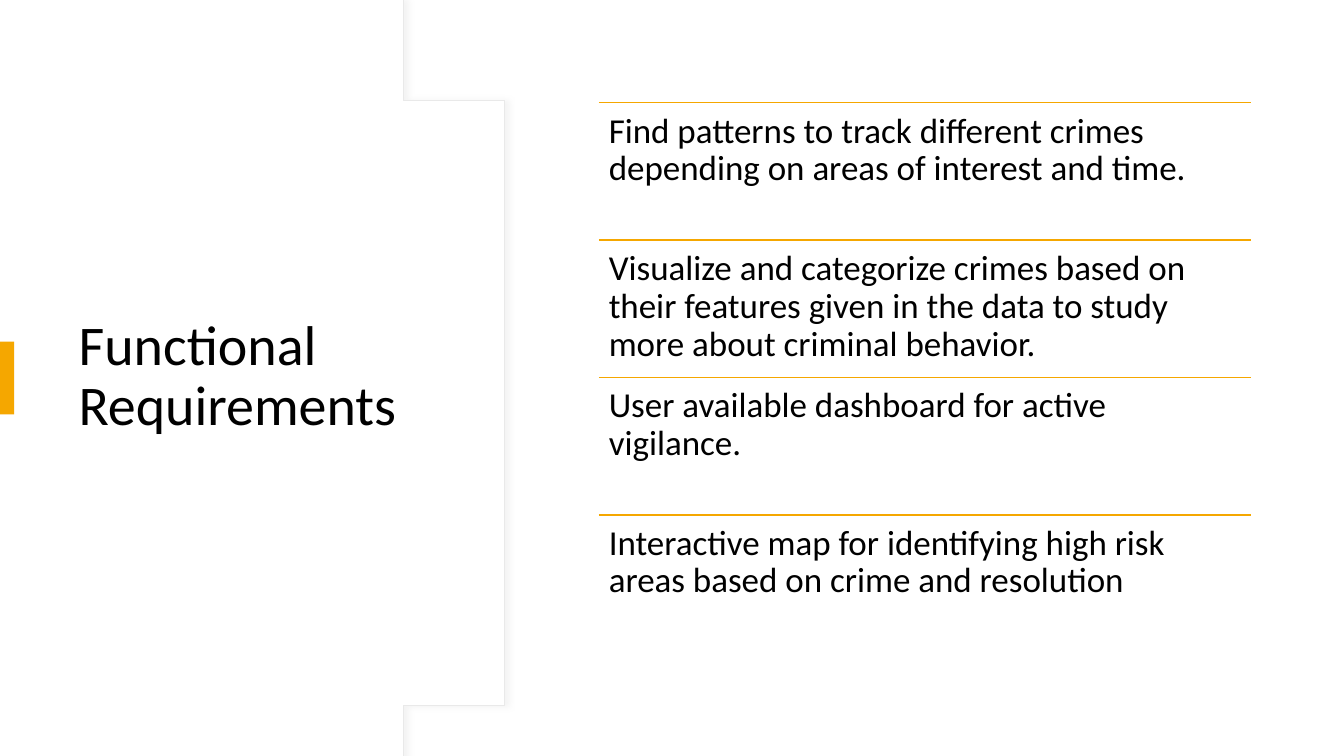
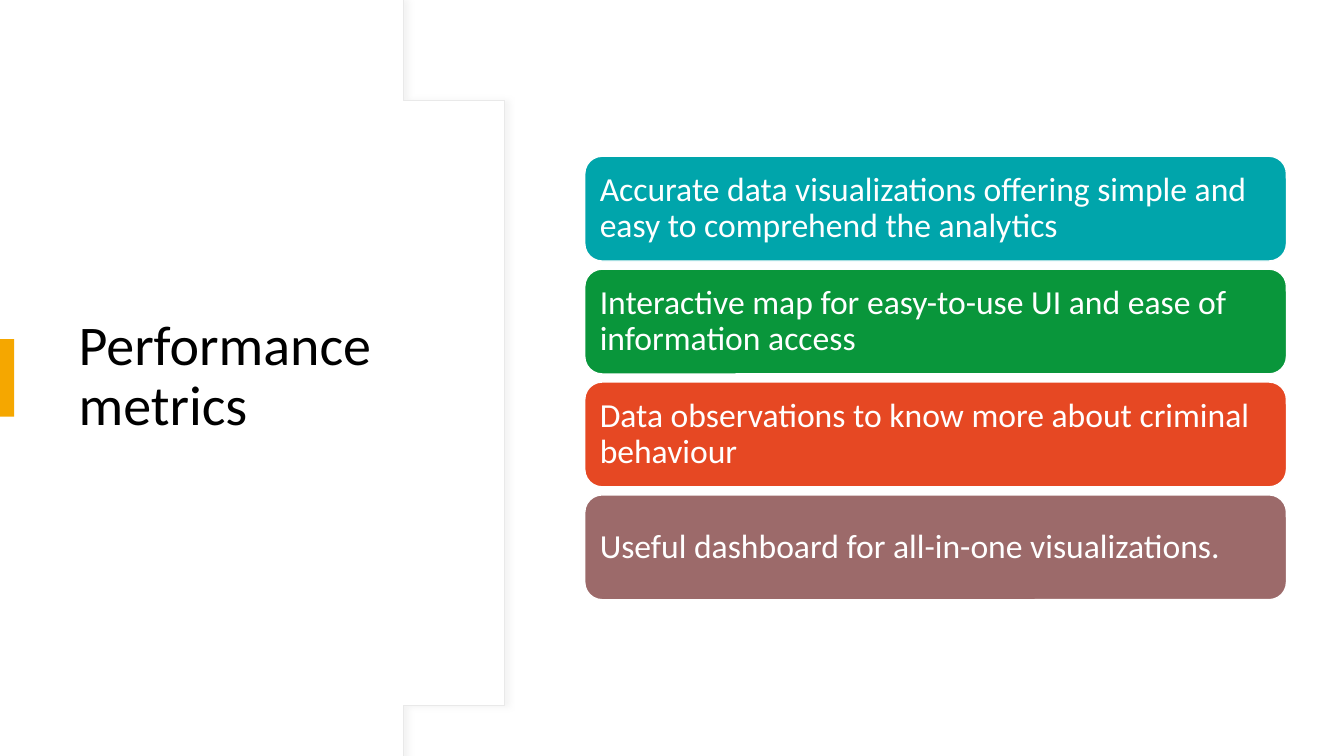
from lxml.etree import SubElement
from pptx import Presentation
from pptx.dml.color import RGBColor
from pptx.enum.shapes import MSO_CONNECTOR, MSO_SHAPE
from pptx.enum.text import MSO_ANCHOR, MSO_AUTO_SIZE, PP_ALIGN
from pptx.oxml.ns import qn
from pptx.util import Inches, Pt

WIDTH, HEIGHT = 13.33, 7.5
FONT = "Calibri"
COLORS = {
    "white": "FFFFFF",
    "text": "000000",
    "outline": "E9E9E9",
    "shadow": "D9D9D9",
    "accent": "F5A700",
    "teal": "00A5AB",
    "green": "09963B",
    "orange": "E64823",
    "mauve": "9C6A6A",
}

REQUIREMENTS = [
    "Find patterns to track different crimes depending on areas of interest and time.",
    "Visualize and categorize crimes based on their features given in the data "
    "to study more about criminal behavior.",
    "User available dashboard for active vigilance.",
    "Interactive map for identifying high risk areas based on crime and resolution",
]
METRICS = [
    ("Accurate data visualizations offering simple and easy to comprehend the analytics", "teal"),
    ("Interactive map for easy-to-use UI and ease of information access", "green"),
    ("Data observations to know more about criminal behaviour", "orange"),
    ("Useful dashboard for all-in-one visualizations.", "mauve"),
]


def color(name):
    return RGBColor.from_string(COLORS[name])


def inches(*lengths):
    return [Inches(length) for length in lengths]


def write_text(shape, text, size, text_color="text", anchor=MSO_ANCHOR.MIDDLE):
    frame = shape.text_frame
    frame.word_wrap = True
    frame.auto_size = MSO_AUTO_SIZE.NONE
    frame.vertical_anchor = anchor
    frame.margin_left = frame.margin_right = Inches(0.1)
    frame.margin_top = frame.margin_bottom = Inches(0.1)
    frame.text = text
    paragraph = frame.paragraphs[0]
    paragraph.alignment = PP_ALIGN.LEFT
    paragraph.line_spacing = 0.9
    font = paragraph.runs[0].font
    font.name = FONT
    font.size = Pt(size)
    font.color.rgb = color(text_color)


def paint(shape, fill, line=None, line_width=1):
    shape.shadow.inherit = False
    shape.fill.solid()
    shape.fill.fore_color.rgb = color(fill)
    if line:
        shape.line.color.rgb = color(line)
        shape.line.width = Pt(line_width)
    else:
        shape.line.fill.background()


def curve_points(start, control_1, control_2, end, steps=32):
    """Points along a cubic curve, without its start."""
    for step in range(1, steps + 1):
        t = step / steps
        weights = ((1 - t) ** 3, 3 * t * (1 - t) ** 2, 3 * t * t * (1 - t), t ** 3)
        yield tuple(
            sum(weight * value for weight, value in zip(weights, values))
            for values in zip(start, control_1, control_2, end)
        )


def add_title_panel(slide, width, height):
    """Panel with a bulging right edge and a soft shadow."""
    middle = height / 2
    upper = [(3.94, 0), (4.01, 0.08)]
    upper += curve_points((4.01, 0.08), (4.79, 1.02), (width, 2.32), (width, middle))
    lower = [(x, height - y) for x, y in reversed(upper[:-1])]
    builder = slide.shapes.build_freeform(0, 0, scale=Inches(1))
    builder.add_line_segments(upper + lower + [(0, height)], close=True)
    panel = builder.convert_to_shape()
    paint(panel, "white", "outline", 0.75)

    effects = panel.element.spPr.find(qn("a:effectLst"))
    shadow = SubElement(effects, qn("a:outerShdw"), blurRad=str(Pt(4)), dist=str(Pt(3)), dir="0")
    shade = SubElement(shadow, qn("a:srgbClr"), val=COLORS["shadow"])
    SubElement(shade, qn("a:alpha"), val="30000")


def add_title_slide(presentation, title_text, accent_height):
    """Slide with the title panel, the title and the accent tab."""
    slide = presentation.slides.add_slide(presentation.slide_layouts[5])
    add_title_panel(slide, 5.27, HEIGHT)

    title = slide.shapes.title
    title.left, title.top, title.width, title.height = inches(0.68, 1.27, 3.94, 4.95)
    write_text(title, title_text, 40)
    title.element.getparent().append(title.element)  # bring in front of the panel

    accent_top = (HEIGHT - accent_height) / 2
    tab = slide.shapes.add_shape(MSO_SHAPE.RECTANGLE, *inches(0, accent_top, 0.14, accent_height))
    paint(tab, "accent")
    return slide


def add_ruled_list(slide, items, left, top, width, height):
    """Equal rows of text, each under a rule."""
    row_height = height / len(items)
    for index, text in enumerate(items):
        row_top = top + index * row_height
        rule = slide.shapes.add_connector(
            MSO_CONNECTOR.STRAIGHT, *inches(left, row_top, left + width, row_top))
        rule.line.color.rgb = color("accent")
        rule.line.width = Pt(1)
        SubElement(rule.element.spPr, qn("a:effectLst"))
        box = slide.shapes.add_textbox(*inches(left, row_top, width, row_height))
        write_text(box, text, 25, anchor=MSO_ANCHOR.TOP)


def add_card_stack(slide, items, left, top, width, height, gap=0.08):
    """Equal rounded cards, one above the other."""
    card_height = (height - gap * (len(items) - 1)) / len(items)
    for index, (text, fill) in enumerate(items):
        card_top = top + index * (card_height + gap)
        card = slide.shapes.add_shape(
            MSO_SHAPE.ROUNDED_RECTANGLE, *inches(left, card_top, width, card_height))
        paint(card, fill, "white")
        write_text(card, text, 24, "white")


def main():
    presentation = Presentation()
    presentation.slide_width, presentation.slide_height = inches(WIDTH, HEIGHT)

    requirements_slide = add_title_slide(presentation, "Functional Requirements", 0.72)
    add_ruled_list(requirements_slide, REQUIREMENTS, 5.94, 1.02, 6.47, 5.45)

    metrics_slide = add_title_slide(presentation, "Performance metrics", 0.77)
    add_card_stack(metrics_slide, METRICS, 5.8, 1.55, 6.96, 4.4)

    presentation.save("out.pptx")


if __name__ == "__main__":
    main()
